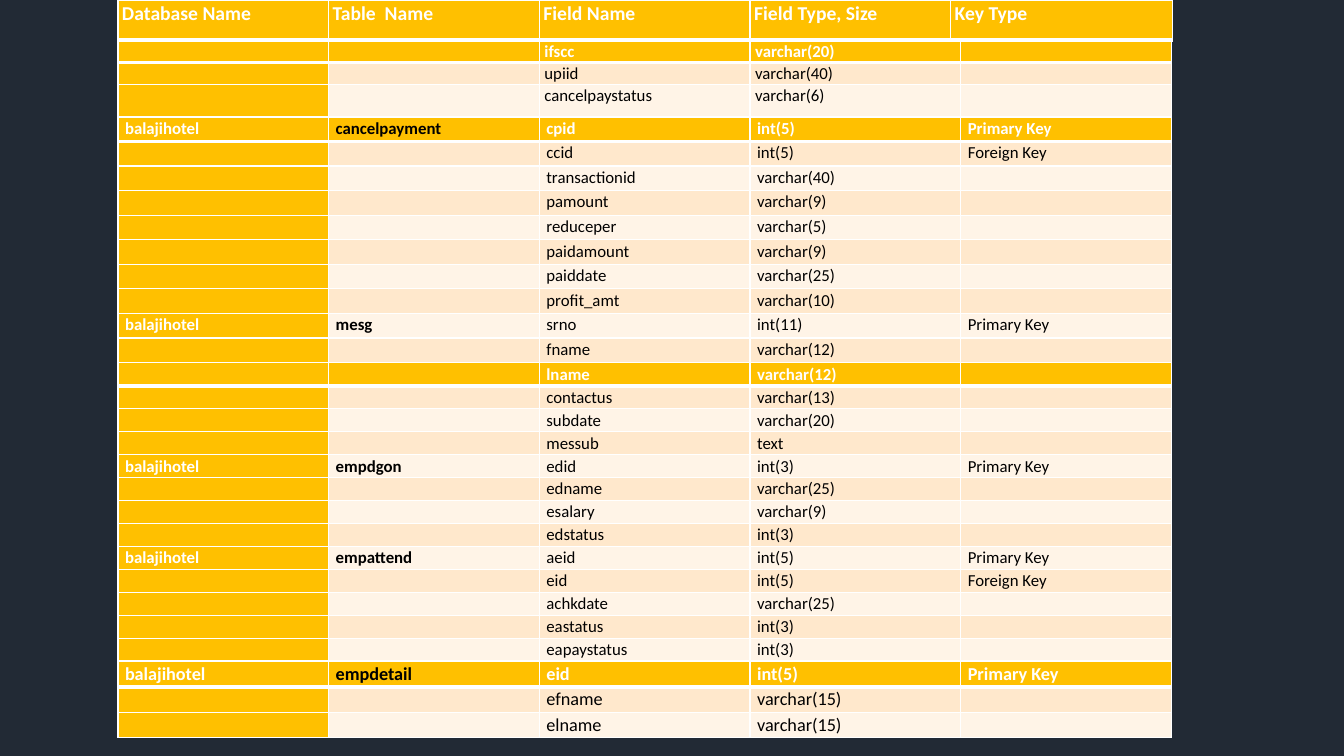
from lxml import etree
from pptx import Presentation
from pptx import util as u
from pptx.dml.color import RGBColor
from pptx.oxml.ns import qn

AMBER, PEACH, CREAM = "FFC000", "FFE8CC", "FFF4E7"
WHITE, BLACK, NAVY = "FFFFFF", "000000", "222A35"


def colour(code):
    return RGBColor.from_string(code)


def field(name, kind, key="", table=""):
    return ("balajihotel" if table else "", table, name, kind, key)


class SchemaSlide:
    """Holds the slide and the shared look of its schema tables."""

    font = "Calibri"
    left = 1.17
    even_columns = [2.09] * 5

    def __init__(self, deck):
        self.slide = deck.slides.add_slide(deck.slide_layouts[6])
        fill = self.slide.background.fill
        fill.solid()
        fill.fore_color.rgb = colour(NAVY)

    def table(self, top, records, heights, columns=even_columns,
              size=12, margin=0.07, name_colour=BLACK):
        frame = self.slide.shapes.add_table(
            len(records), len(columns), u.Inches(self.left), u.Inches(top),
            u.Inches(sum(columns)), u.Inches(sum(heights)))
        grid = frame.table
        grid.first_row = grid.horz_banding = False
        for column, width in zip(grid.columns, columns):
            column.width = u.Inches(width)
        for r, (record, height) in enumerate(zip(records, heights)):
            grid.rows[r].height = u.Inches(height)
            for c, words in enumerate(record):
                heading = r == 0
                band = PEACH if r % 2 else CREAM
                if c == 1:
                    ink = name_colour
                else:
                    ink = WHITE if heading or c == 0 else BLACK
                cell = grid.cell(r, c)
                cell.margin_left = cell.margin_right = u.Inches(margin)
                cell.margin_top = cell.margin_bottom = 0
                self.label(cell, words, size, ink, heading or c < 2)
                cell.fill.solid()
                cell.fill.fore_color.rgb = colour(
                    AMBER if heading or c == 0 else band)
                self.borders(cell, 3 if heading else 1)

    def label(self, cell, words, size, ink, bold):
        paragraph = cell.text_frame.paragraphs[0]
        paragraph.text = words
        paragraph.line_spacing = 1.07
        paragraph.space_after = u.Pt(8)
        for run in paragraph.runs:
            run.font.name = self.font
            run.font.size = u.Pt(size)
            run.font.bold = bold
            run.font.color.rgb = colour(ink)
        if not words:
            etree.SubElement(paragraph._p, qn("a:endParaRPr"),
                             sz=str(size * 100))

    def borders(self, cell, bottom):
        properties = cell._tc.get_or_add_tcPr()
        sides = {"lnL": 1, "lnR": 1, "lnT": 1, "lnB": bottom}
        for position, (side, width) in enumerate(sides.items()):
            line = etree.Element(qn("a:" + side), w=str(int(u.Pt(width))))
            paint = etree.SubElement(line, qn("a:solidFill"))
            etree.SubElement(paint, qn("a:srgbClr"), val=WHITE)
            properties.insert(position, line)


PAYMENT_END = [
    field("ifscc", "varchar(20)"),
    field("upiid", "varchar(40)"),
    field("cancelpaystatus", "varchar(6)"),
]
HEADINGS = [("Database Name", "Table  Name", "Field Name",
             "Field Type, Size", "Key Type")]
CANCELPAYMENT = [
    field("cpid", "int(5)", "Primary Key", "cancelpayment"),
    field("ccid", "int(5)", "Foreign Key"),
    field("transactionid", "varchar(40)"),
    field("pamount", "varchar(9)"),
    field("reduceper", "varchar(5)"),
    field("paidamount", "varchar(9)"),
    field("paiddate", "varchar(25)"),
    field("profit_amt", "varchar(10)"),
    field("srno", "int(11)", "Primary Key", "mesg"),
    field("fname", "varchar(12)"),
]
MESSAGES_AND_STAFF = [
    field("lname", "varchar(12)"),
    field("contactus", "varchar(13)"),
    field("subdate", "varchar(20)"),
    field("messub", "text"),
    field("edid", "int(3)", "Primary Key", "empdgon"),
    field("edname", "varchar(25)"),
    field("esalary", "varchar(9)"),
    field("edstatus", "int(3)"),
    field("aeid", "int(5)", "Primary Key", "empattend"),
    field("eid", "int(5)", "Foreign Key"),
    field("achkdate", "varchar(25)"),
    field("eastatus", "int(3)"),
    field("eapaystatus", "int(3)"),
]
EMPDETAIL = [
    field("eid", "int(5)", "Primary Key", "empdetail"),
    field("efname", "varchar(15)"),
    field("elname", "varchar(15)"),
]


def main():
    deck = Presentation()
    deck.slide_width = u.Inches(13.33)
    deck.slide_height = u.Inches(7.5)
    schema = SchemaSlide(deck)
    schema.table(0.4, PAYMENT_END, [0.22, 0.22, 0.32], margin=0.05)
    schema.table(0, HEADINGS, [0.4], columns=[2.09, 2.09, 2.09, 1.99, 2.2],
                 size=14, margin=0.04, name_colour=WHITE)
    schema.table(1.16, CANCELPAYMENT, [2.44 / 10] * 10)
    schema.table(3.6, MESSAGES_AND_STAFF, [2.96 / 13] * 13)
    schema.table(6.56, EMPDETAIL, [0.76 / 3] * 3, size=13)
    deck.save("out.pptx")


if __name__ == "__main__":
    main()
